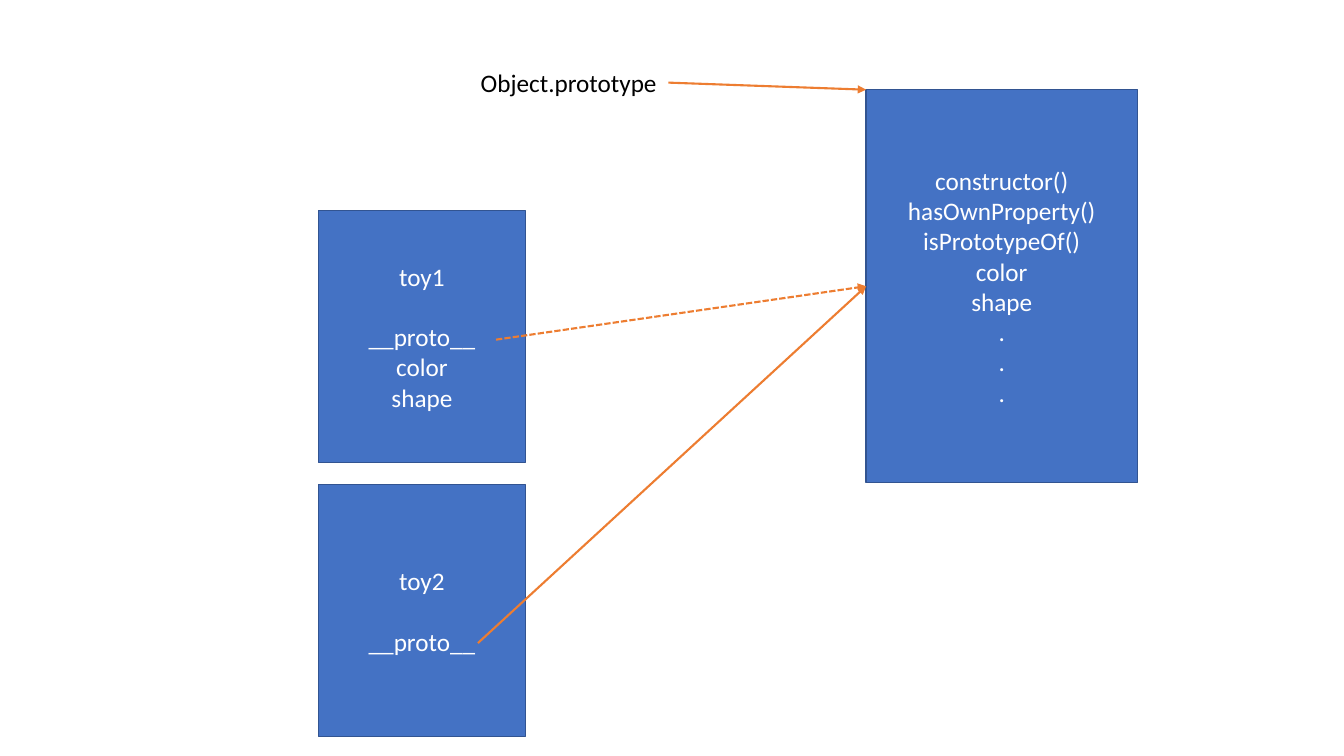
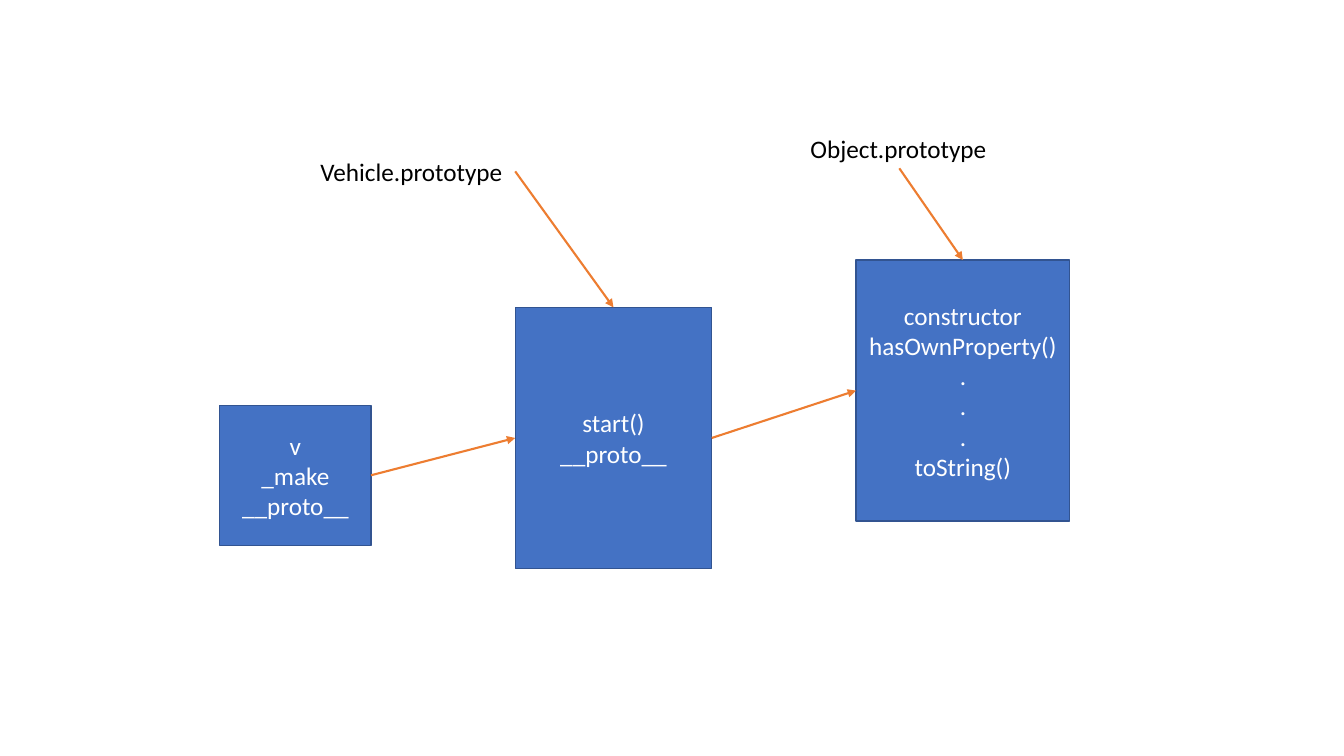
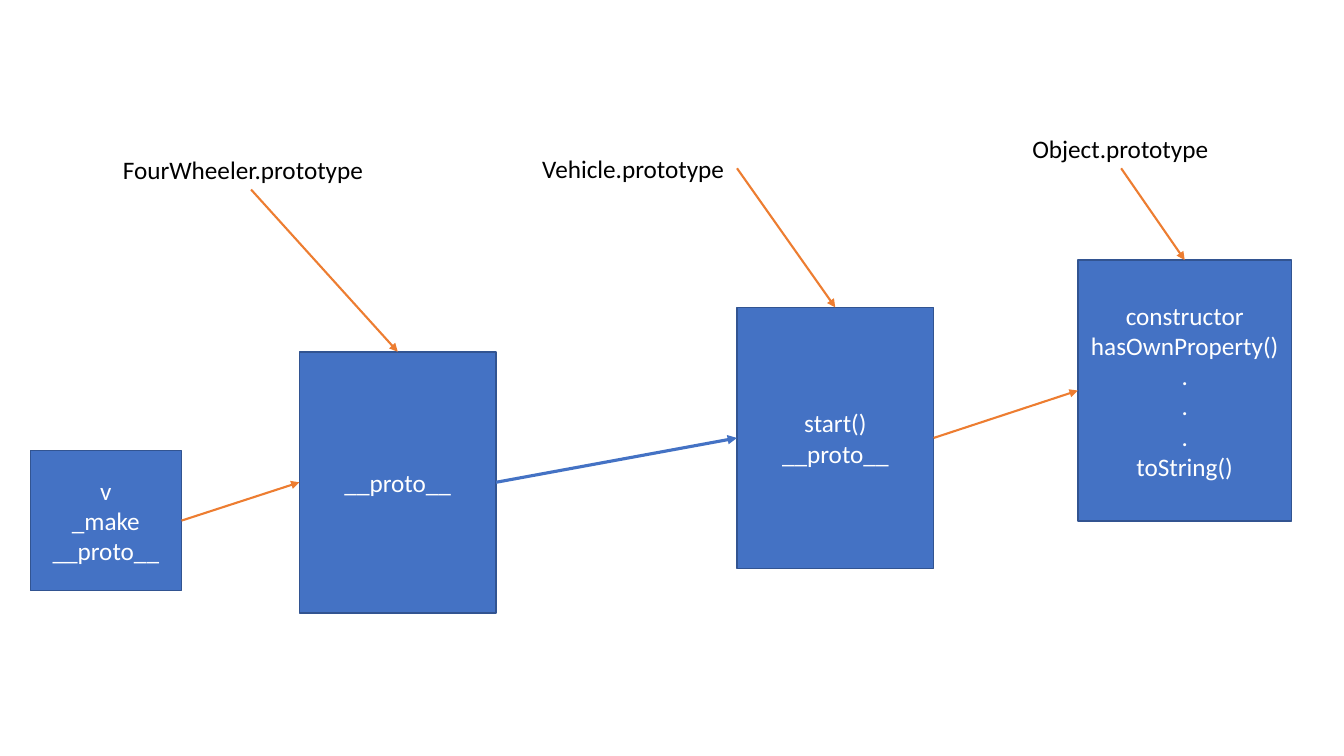
from lxml.etree import SubElement as Sub
from pptx import Presentation
from pptx.dml.color import RGBColor
from pptx.enum.dml import MSO_LINE as Dash
from pptx.enum.shapes import MSO_CONNECTOR as Link, MSO_SHAPE as Shape
from pptx.enum.text import MSO_ANCHOR as Anchor, PP_ALIGN as Align
from pptx.oxml.ns import qn
from pptx.util import Inches, Pt

# Shared look
FONT, SIZE = "Calibri", 18
BLUE, EDGE, ORANGE = "4472C4", "325491", "ED7D31"
BLACK, WHITE = "000000", "FFFFFF"
GAP = 21.6  # one line of text, in points
TOP, LEFT, BELOW, RIGHT = range(4)  # connection sites of a rectangle


def tint(part, color):
    """Give a fill or a font a solid colour."""
    if hasattr(part, "solid"):
        part.solid()
        part.fore_color.rgb = RGBColor.from_string(color)
    else:
        part.color.rgb = RGBColor.from_string(color)


def write(frame, lines, color, align, gap=None):
    """Write one paragraph a line; gap is the line with space above it."""
    frame.word_wrap = True
    for i, line in enumerate(lines):
        para = frame.add_paragraph() if i else frame.paragraphs[0]
        para.alignment = align
        if i == gap:
            para.space_before = Pt(GAP)
        run = para.add_run()
        run.text = line
        run.font.name, run.font.size = FONT, Pt(SIZE)
        tint(run.font, color)


# Parts: labels are (name, left, top, width),
# boxes are (name, left, top, width, height, lines, line after a gap),
# arrows are (from, to, colour, width, dash), each end a site or a point.
PROTO = "__proto__"
DOTS = [".", ".", "."]
thin = (ORANGE, 1.5, None)
dashed = (ORANGE, 1.5, Dash.SQUARE_DOT)
thick = (BLUE, 2.25, None)

toys = {
    "labels": [("Object.prototype", 4.67, 0.62, 1.96)],
    "boxes": [
        ("object", 8.59, 0.89, 2.69, 3.9,
         ["constructor()", "hasOwnProperty()", "isPrototypeOf()",
          "color", "shape"] + DOTS, None),
        ("toy1", 3.16, 2.09, 2.05, 2.5, ["toy1", PROTO, "color", "shape"], 1),
        ("toy2", 3.16, 4.81, 2.05, 2.5, ["toy2", PROTO], 1),
    ],
    "arrows": [
        (("Object.prototype", RIGHT), (8.59, 0.89), *thin),
        ((4.74, 6.38), ("object", LEFT), *thin),
        ((4.92, 3.37), ("object", LEFT), *dashed),
    ],
}
decks = [toys]

# The vehicle chain stands further right when a child class joins it
for shift, rise, left, top, child in [(0, 1.5, 2.18, 4.02, False),
                                      (2.2, 1.47, 0.3, 4.47, True)]:
    chain = {
        "labels": [("Vehicle.prototype", 3.08 + shift, rise, 2.03),
                   ("Object.prototype", 7.94 + shift, 1.27, 1.96)],
        "boxes": [
            ("vehicle", 5.11 + shift, 3.05, 1.95, 2.59,
             ["start()", PROTO], None),
            ("v", left, top, 1.5, 1.39, ["v", "_make", PROTO], None),
            ("object", 8.49 + shift, 2.58, 2.12, 2.59,
             ["constructor", "hasOwnProperty()"] + DOTS + ["toString()"],
             None),
        ],
        "arrows": [
            (("Vehicle.prototype", RIGHT), ("vehicle", TOP), *thin),
            (("Object.prototype", BELOW), ("object", TOP), *thin),
            (("vehicle", RIGHT), ("object", LEFT), *thin),
            (("v", RIGHT), ("child" if child else "vehicle", LEFT), *thin),
        ],
    }
    if child:
        chain["labels"].append(("FourWheeler.prototype", 1.12, 1.48, 2.74))
        chain["boxes"].append(
            ("child", 2.97, 3.49, 1.95, 2.59, [PROTO], None))
        chain["arrows"] += [
            (("FourWheeler.prototype", BELOW), ("child", TOP), *thin),
            (("child", RIGHT), ("vehicle", LEFT), *thick),
        ]
    decks.append(chain)

prs = Presentation()
prs.slide_width, prs.slide_height = Inches(13.33), Inches(7.5)

for deck in decks:
    slide = prs.slides.add_slide(prs.slide_layouts[6])
    shapes = slide.shapes
    parts = {}

    # Labels
    for name, x, y, w in deck["labels"]:
        label = shapes.add_textbox(Inches(x), Inches(y), Inches(w), Inches(0.4))
        write(label.text_frame, [name], BLACK, Align.LEFT)
        parts[name] = label

    # Object boxes
    for name, x, y, w, h, lines, gap in deck["boxes"]:
        box = shapes.add_shape(Shape.RECTANGLE, Inches(x), Inches(y),
                               Inches(w), Inches(h))
        box.shadow.inherit = False
        tint(box.fill, BLUE)
        tint(box.line.fill, EDGE)
        box.line.width = Pt(1)
        box.text_frame.vertical_anchor = Anchor.MIDDLE
        write(box.text_frame, lines, WHITE, Align.CENTER, gap)
        parts[name] = box

    # Arrows, glued to a site where an end names a part
    for start, end, color, width, dash in deck["arrows"]:
        points = [(0, 0) if p[0] in parts else p for p in (start, end)]
        arrow = shapes.add_connector(
            Link.STRAIGHT, *[Inches(n) for p in points for n in p])
        if start[0] in parts:
            arrow.begin_connect(parts[start[0]], start[1])
        if end[0] in parts:
            arrow.end_connect(parts[end[0]], end[1])
        tint(arrow.line.fill, color)
        arrow.line.width = Pt(width)
        if dash:
            arrow.line.dash_style = dash
        props = arrow.element.spPr
        Sub(props.find(qn("a:ln")), qn("a:tailEnd"), type="triangle")
        Sub(props, qn("a:effectLst"))

prs.save("out.pptx")
